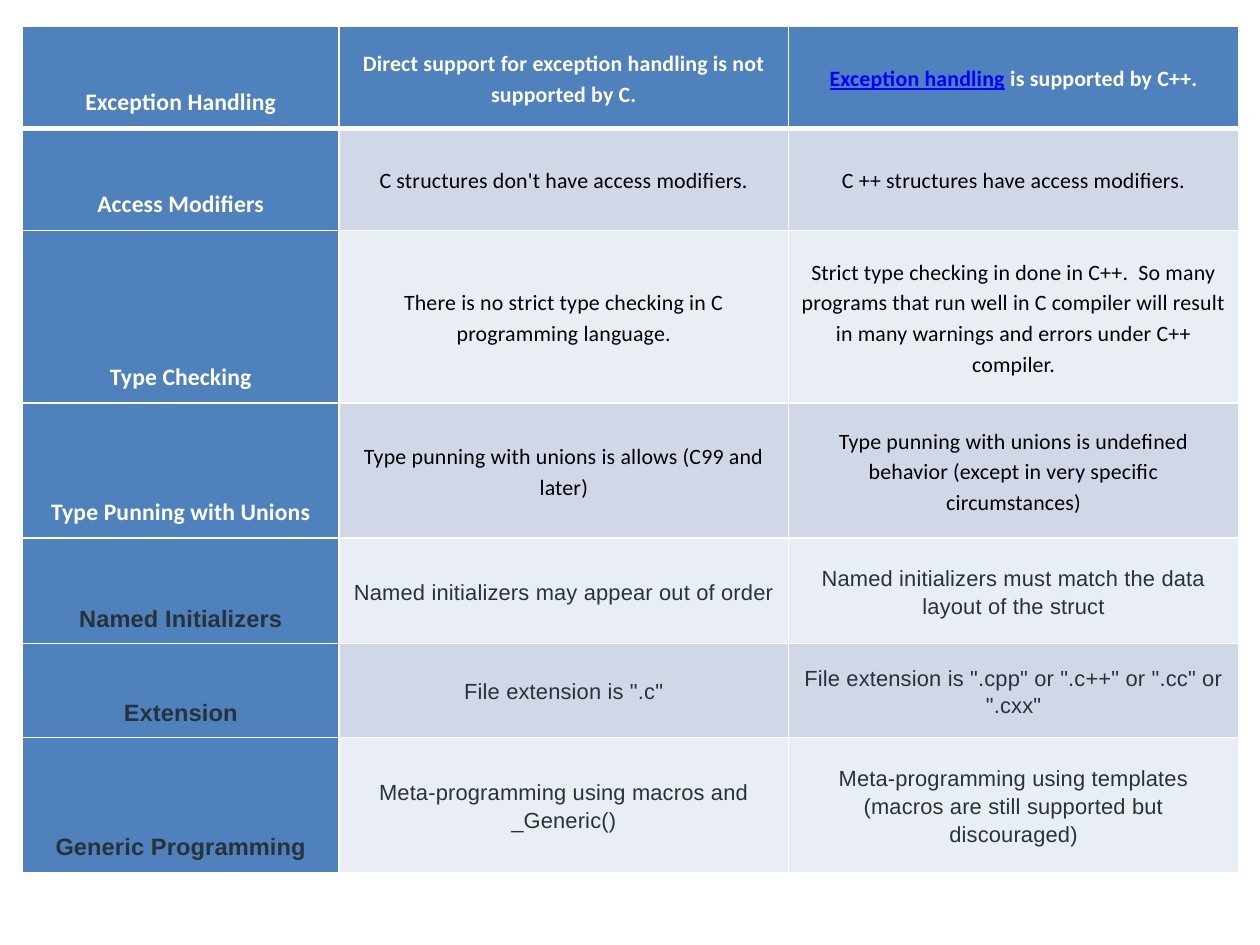
from lxml.etree import SubElement
from pptx import Presentation
from pptx.dml.color import RGBColor
from pptx.enum.text import MSO_ANCHOR, PP_ALIGN
from pptx.oxml.ns import qn
from pptx.util import Inches, Pt

WHITE = RGBColor(0xFF, 0xFF, 0xFF)
BLACK = RGBColor(0x00, 0x00, 0x00)
SLATE = RGBColor(0x27, 0x32, 0x39)
LINK = RGBColor(0x00, 0x00, 0xFF)
BLUE = RGBColor(0x4F, 0x81, 0xBD)
BANDS = (RGBColor(0xE9, 0xED, 0xF4), RGBColor(0xD0, 0xD8, 0xE8))

LINKED_TEXT = "Exception handling"
ROWS = [
    ("Exception Handling",
     "Direct support for exception handling is not supported by C.",
     LINKED_TEXT + " is supported by C++."),
    ("Access Modifiers",
     "C structures don't have access modifiers.",
     "C ++ structures have access modifiers."),
    ("Type Checking",
     "There is no strict type checking in C programming language.",
     "Strict type checking in done in C++.  So many programs that run well in C compiler "
     "will result in many warnings and errors under C++ compiler."),
    ("Type Punning with Unions",
     "Type punning with unions is allows (C99 and later)",
     "Type punning with unions is undefined behavior (except in very specific circumstances)"),
    ("Named Initializers",
     "Named initializers may appear out of order",
     "Named initializers must match the data layout of the struct"),
    ("Extension",
     'File extension is ".c"',
     'File extension is ".cpp" or ".c++" or ".cc" or ".cxx"'),
    ("Generic Programming",
     "Meta-programming using macros and _Generic()",
     "Meta-programming using templates (macros are still supported but discouraged)"),
]
COLUMN_WIDTHS = (2.51, 3.57, 3.57)
ROW_HEIGHTS = (0.81, 0.81, 1.37, 1.07, 0.84, 0.71, 1.07)
LEFT, TOP = 0.18, 0.21
FIRST_ARIAL_ROW = 4


def add_borders(cell, row):
    """Draw white cell edges, thicker between the first two rows."""
    properties = cell._tc.get_or_add_tcPr()
    thick_edge = {0: "lnB", 1: "lnT"}.get(row)
    for edge in ("lnL", "lnR", "lnT", "lnB"):
        width = Pt(3 if edge == thick_edge else 1)
        line = SubElement(properties, qn(f"a:{edge}"), w=str(width))
        fill = SubElement(line, qn("a:solidFill"))
        SubElement(fill, qn("a:srgbClr"), val=str(WHITE))


def add_run(paragraph, text, row, column):
    """Add one run styled for its row and column."""
    run = paragraph.add_run()
    run.text = text
    font = run.font
    is_label = column == 0
    is_link = text == LINKED_TEXT
    font.size = Pt(13.5 if is_label else 12.5)
    font.bold = is_label or row == 0
    font.underline = is_link
    font.name = "Arial" if row >= FIRST_ARIAL_ROW else "Calibri"
    if is_link:
        font.color.rgb = LINK
    elif row >= FIRST_ARIAL_ROW:
        font.color.rgb = SLATE
    else:
        font.color.rgb = WHITE if font.bold else BLACK
    run._r.get_or_add_rPr().set("spc", "10")


def fill_cell(cell, text, row, column):
    """Format one cell and write its text."""
    is_label = column == 0
    add_borders(cell, row)
    cell.fill.solid()
    cell.fill.fore_color.rgb = BLUE if is_label or row == 0 else BANDS[row % 2]
    cell.vertical_anchor = MSO_ANCHOR.BOTTOM if is_label else MSO_ANCHOR.MIDDLE
    cell.margin_left = cell.margin_right = Inches(0.04 if is_label else 0.1)
    cell.margin_top = cell.margin_bottom = Inches(0.09 if is_label else 0.15)
    paragraph = cell.text_frame.paragraphs[0]
    paragraph.alignment = PP_ALIGN.CENTER
    paragraph.line_spacing = 1.15
    paragraph.space_after = Pt(10)
    _, link, rest = text.rpartition(LINKED_TEXT)
    for part in filter(None, (link, rest)):
        add_run(paragraph, part, row, column)


def main():
    """Build the comparison table slide."""
    presentation = Presentation()
    presentation.slide_width, presentation.slide_height = Inches(10), Inches(7.5)
    slide = presentation.slides.add_slide(presentation.slide_layouts[6])
    table = slide.shapes.add_table(
        len(ROWS), len(COLUMN_WIDTHS), Inches(LEFT), Inches(TOP),
        Inches(sum(COLUMN_WIDTHS)), Inches(sum(ROW_HEIGHTS))).table
    for column, width in zip(table.columns, COLUMN_WIDTHS):
        column.width = Inches(width)
    for row, height in zip(table.rows, ROW_HEIGHTS):
        row.height = Inches(height)
    for row, texts in enumerate(ROWS):
        for column, text in enumerate(texts):
            fill_cell(table.cell(row, column), text, row, column)
    presentation.save("out.pptx")


if __name__ == "__main__":
    main()
